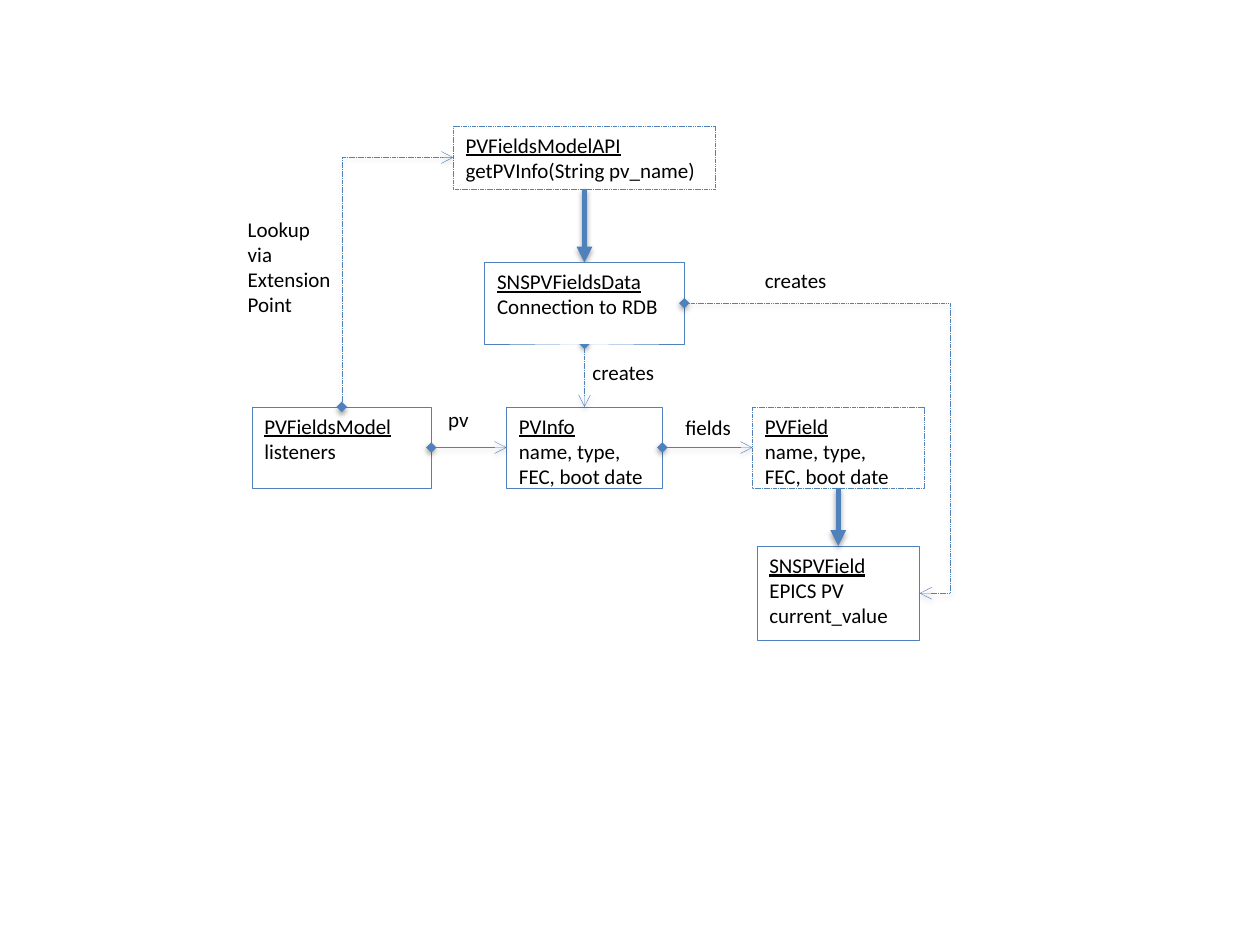
from lxml.etree import SubElement
from pptx import Presentation
from pptx.dml.color import RGBColor
from pptx.enum.dml import MSO_LINE
from pptx.enum.shapes import MSO_CONNECTOR as CONN, MSO_SHAPE
from pptx.enum.text import MSO_ANCHOR, PP_ALIGN
from pptx.oxml.ns import qn
from pptx.util import Pt

TOP, LEFT, BOTTOM, RIGHT = range(4)


def rgb(value):
    return RGBColor.from_string(value)


class Diagram:
    font, size = "Calibri", 12
    blue, black, white = "4F81BD", "000000", "FFFFFF"
    thin, thick = 0.25, 3

    def __init__(self, slide):
        self.s = slide

    def set_text(self, sp, lines, titled=False):
        tf = sp.text_frame
        tf.word_wrap = True
        tf.vertical_anchor = MSO_ANCHOR.TOP
        tf.text = "\n".join(lines)
        for i, p in enumerate(tf.paragraphs):
            p.alignment = PP_ALIGN.LEFT
            p.font.name, p.font.size = self.font, Pt(self.size)
            p.font.color.rgb = rgb(self.black)
            p.font.underline = titled and i == 0
        return sp

    def stroke(self, line, width, dashed):
        line.color.rgb = rgb(self.blue)
        line.width = Pt(width)
        if dashed:
            line.dash_style = MSO_LINE.SQUARE_DOT

    def box(self, x, y, w, h, *lines, dashed=False):
        sp = self.s.shapes.add_shape(MSO_SHAPE.RECTANGLE, Pt(x), Pt(y), Pt(w), Pt(h))
        sp.shadow.inherit = False
        sp.fill.solid()
        sp.fill.fore_color.rgb = rgb(self.white)
        self.stroke(sp.line, self.thin, dashed)
        return self.set_text(sp, lines, titled=True)

    def label(self, x, y, w, h, *lines):
        return self.set_text(self.s.shapes.add_textbox(Pt(x), Pt(y), Pt(w), Pt(h)), lines)

    def finish(self, c, dashed=False, inherits=False):
        self.stroke(c.line, self.thick if inherits else self.thin, dashed)
        pr = c._element.spPr
        ln = pr.find(qn("a:ln"))
        if not inherits:
            SubElement(ln, qn("a:headEnd"), type="diamond")
        SubElement(ln, qn("a:tailEnd"), type="triangle" if inherits else "arrow")
        effects = SubElement(pr, qn("a:effectLst"))
        shadow = SubElement(effects, qn("a:outerShdw"), blurRad=str(Pt(3.1)),
                            dist=str(Pt(1.6)), dir="5400000", rotWithShape="0")
        color = SubElement(shadow, qn("a:srgbClr"), val=self.black)
        SubElement(color, qn("a:alpha"), val="38000")

    def link(self, a, side_a, b, side_b, bend=None, **style):
        kind = CONN.ELBOW if bend else CONN.STRAIGHT
        c = self.s.shapes.add_connector(kind, 0, 0, 0, 0)
        c.begin_connect(a, side_a)
        c.end_connect(b, side_b)
        if bend:
            guides = c._element.spPr.find(qn("a:prstGeom")).find(qn("a:avLst"))
            SubElement(guides, qn("a:gd"), name="adj1", fmla=f"val {round(bend * 100000)}")
        self.finish(c, **style)

    def up_and_right(self, a, b, **style):
        x1, y1 = a.left + a.width // 2, a.top
        x2, y2 = b.left, b.top + b.height // 2
        cx, cy = (x1 + x2) // 2, (y1 + y2) // 2
        dx, dy = (y1 - y2) // 2, (x2 - x1) // 2
        c = self.s.shapes.add_connector(CONN.ELBOW, cx + dx, cy + dy, cx - dx, cy - dy)
        pr = c._element.spPr
        pr.find(qn("a:xfrm")).set("rot", "5400000")
        pr.find(qn("a:prstGeom")).set("prst", "bentConnector2")
        self.finish(c, **style)


prs = Presentation()
prs.slide_width, prs.slide_height = Pt(720), Pt(540)
s = prs.slides.add_slide(prs.slide_layouts[6])
d = Diagram(s)

row, height = 232.5, 46.5
details = ("name, type,", "FEC, boot date")
sns_field = d.box(432.5, 312, 93, 54, "SNSPVField", "EPICS PV", "current_value")
info = d.box(289.5, row, 89, height, "PVInfo", *details)
model = d.box(144, row, 102.5, height, "PVFieldsModel", "listeners")
field = d.box(430, row, 98, height, "PVField", *details, dashed=True)
api = d.box(259, 72, 150, 36, "PVFieldsModelAPI", "getPVInfo(String pv_name)", dashed=True)
data = d.box(277, 150, 114, height, "SNSPVFieldsData", "Connection to RDB")

d.link(field, BOTTOM, sns_field, TOP, inherits=True)
d.link(api, BOTTOM, data, TOP, inherits=True)
d.link(model, RIGHT, info, LEFT)
d.link(info, RIGHT, field, LEFT)
d.link(data, BOTTOM, info, TOP, dashed=True)
d.up_and_right(model, api, dashed=True)
s.shapes._spTree.append(data._element)
d.link(data, RIGHT, sns_field, RIGHT, bend=1.13, dashed=True)

d.label(249, 229, 33, 26.5, "pv")
d.label(384.5, 233.5, 45.5, 26.5, "fields")
d.label(430, 149.5, 58.5, 26.5, "creates")
d.label(331.5, 202, 58.5, 26.5, "creates")
d.label(134.5, 120, 63.5, 60, "Lookup via Extension", "Point")

prs.save("out.pptx")
